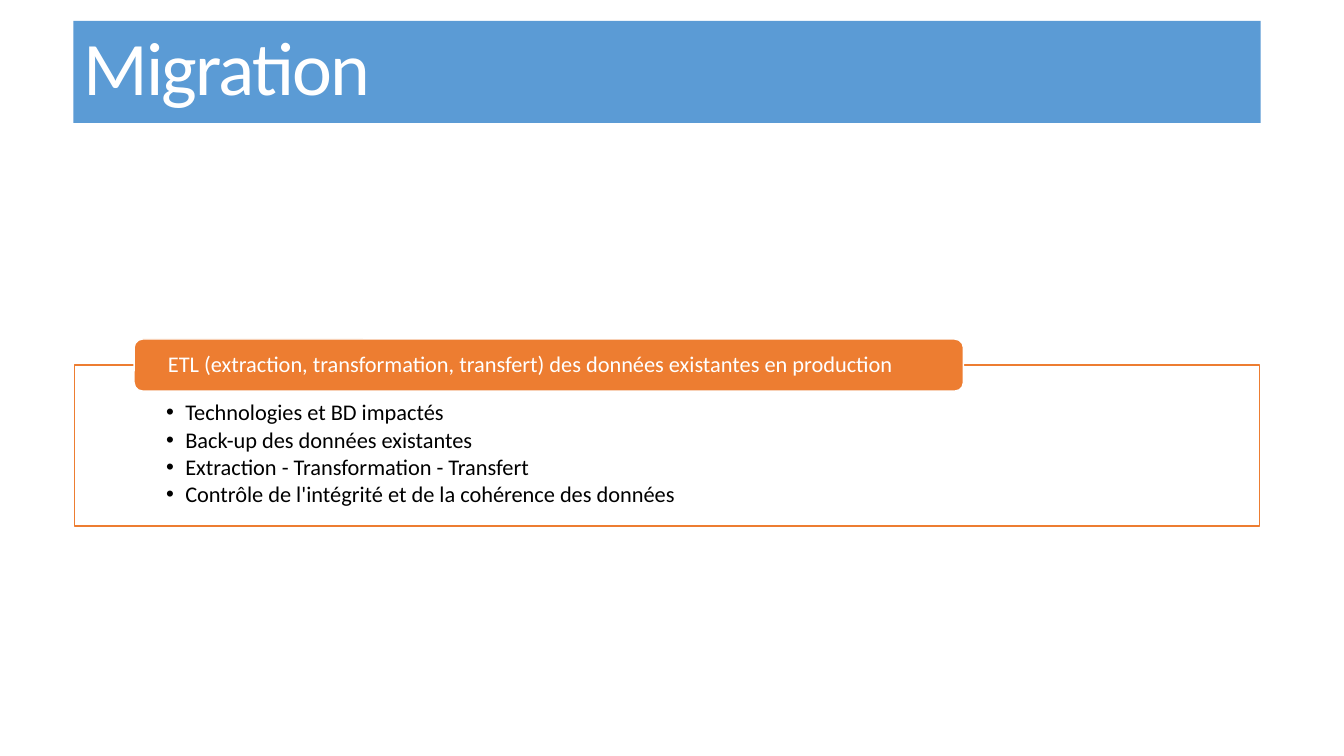
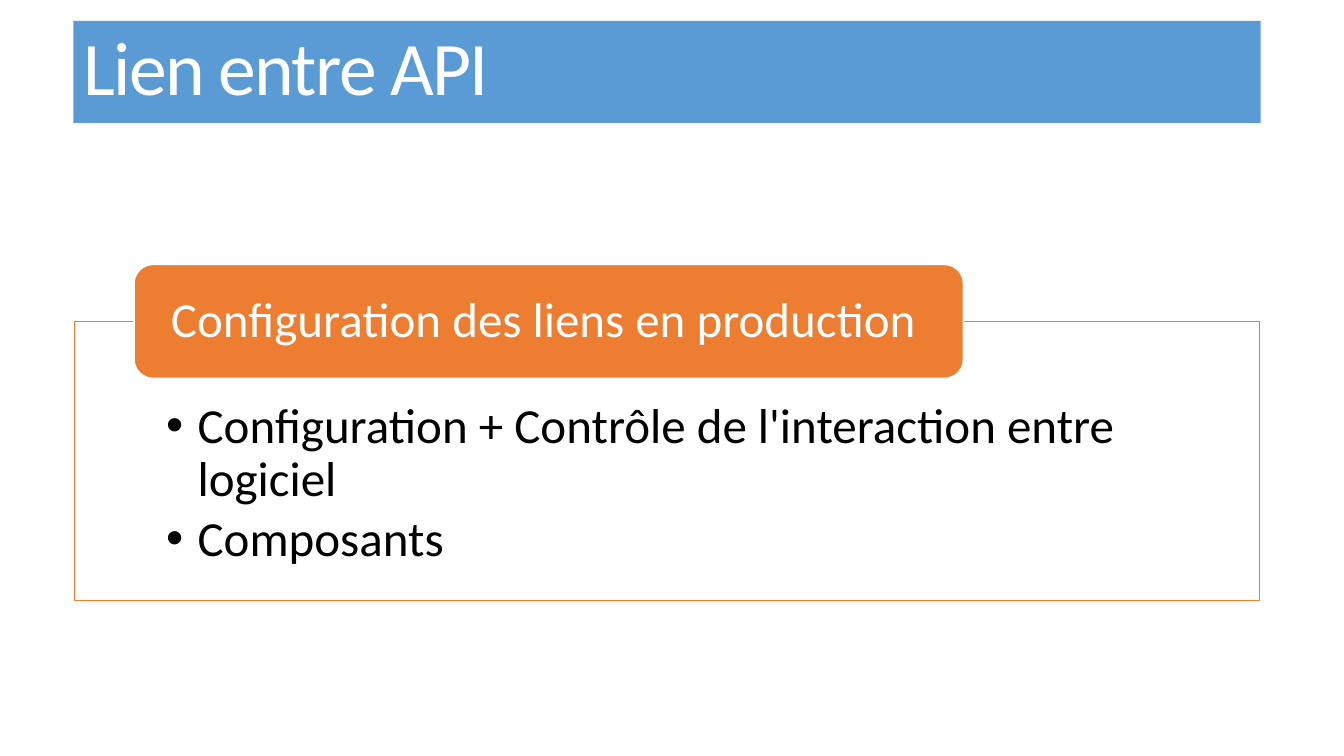
from lxml import etree
from pptx import Presentation
from pptx import util as u
from pptx.dml.color import RGBColor
from pptx.enum import shapes, text
from pptx.oxml.ns import qn

FONT = "Calibri"
BLUE, ORANGE, WHITE, BLACK = "5B9BD5", "ED7D31", "FFFFFF", "000000"


def color(value):
    return RGBColor.from_string(value)


def write(box, lines, size, ink, leading=0.9, after=0, tracking=0, bullet=None,
          anchor=text.MSO_ANCHOR.MIDDLE, insets=(0.25, 0.13, 0.25, 0.13)):
    frame = box.text_frame
    frame.word_wrap = True
    frame.vertical_anchor = anchor
    (frame.margin_left, frame.margin_top,
     frame.margin_right, frame.margin_bottom) = map(u.Cm, insets)
    for index, line in enumerate(lines):
        para = frame.add_paragraph() if index else frame.paragraphs[0]
        para.alignment = text.PP_ALIGN.LEFT
        para.line_spacing = leading
        para.space_after = u.Pt(after)
        span = para.add_run()
        span.text = line
        span.font.name = FONT
        span.font.size = u.Pt(size)
        span.font.color.rgb = color(ink)
        if tracking:
            span.font._element.set("spc", str(round(tracking * 100)))
        if bullet:
            properties = para._p.get_or_add_pPr()
            properties.set("marL", str(u.Cm(bullet)))
            properties.set("indent", str(-u.Cm(bullet)))
            etree.SubElement(properties, qn("a:buFont")).set("typeface", "Arial")
            etree.SubElement(properties, qn("a:buChar")).set("char", "•")


class Slides:
    band = (1.85, 0.53, 29.92, 2.57)
    panel_left, panel_width = 1.88, 29.87
    label_left, label_width = 3.38, 20.9

    def __init__(self):
        self.deck = Presentation()
        self.deck.slide_width = u.Cm(33.87)
        self.deck.slide_height = u.Cm(19.05)
        self.page = None

    def start(self, title):
        self.page = self.deck.slides.add_slide(self.deck.slide_layouts[6])
        band = self.shape(shapes.MSO_SHAPE.RECTANGLE, self.band, BLUE)
        write(band, [title], 54, WHITE, leading=0.85, tracking=-1.2)

    def shape(self, kind, place, fill, line=None, opacity=None):
        box = self.page.shapes.add_shape(kind, *map(u.Cm, place))
        box.shadow.inherit = False
        box.fill.solid()
        box.fill.fore_color.rgb = color(fill)
        if opacity:
            tint = box._element.spPr.find(qn("a:solidFill"))[0]
            etree.SubElement(tint, qn("a:alpha")).set("val", str(opacity * 1000))
        if line:
            box.line.color.rgb = color(line)
            box.line.width = u.Pt(1)
        else:
            box.line.fill.background()
        return box

    def panel(self, top, height, size, items, indent):
        place = (self.panel_left, top, self.panel_width, height)
        panel = self.shape(shapes.MSO_SHAPE.RECTANGLE, place, WHITE, ORANGE, opacity=90)
        write(panel, items, size, BLACK, after=size * 0.14, bullet=indent,
              anchor=text.MSO_ANCHOR.TOP,
              insets=(2.31, size * 0.0575, 2.31, size * 0.0195))

    def label(self, middle, size, caption):
        height = size * 0.082
        place = (self.label_left, middle - height / 2, self.label_width, height)
        label = self.shape(shapes.MSO_SHAPE.ROUNDED_RECTANGLE, place, ORANGE, WHITE)
        write(label, [caption], size, WHITE, insets=(0.79, 0, 0.79, 0))

    def topic(self, title, caption, items, top, height, size, indent):
        self.start(title)
        self.panel(top, height, size, items, indent)
        self.label(top, size, caption)


def main():
    slides = Slides()
    slides.topic(
        "Migration",
        "ETL (extraction, transformation, transfert) des données existantes en production",
        ["Technologies et BD impactés",
         "Back-up des données existantes",
         "Extraction - Transformation - Transfert",
         "Contrôle de l'intégrité et de la cohérence des données"],
        top=9.2, height=4.06, size=16, indent=0.48)
    slides.topic(
        "Lien entre API",
        "Configuration des liens en production",
        ["Configuration + Contrôle de l'interaction entre logiciel",
         "Composants"],
        top=8.1, height=7.04, size=35, indent=0.79)
    slides.deck.save("out.pptx")


if __name__ == "__main__":
    main()
